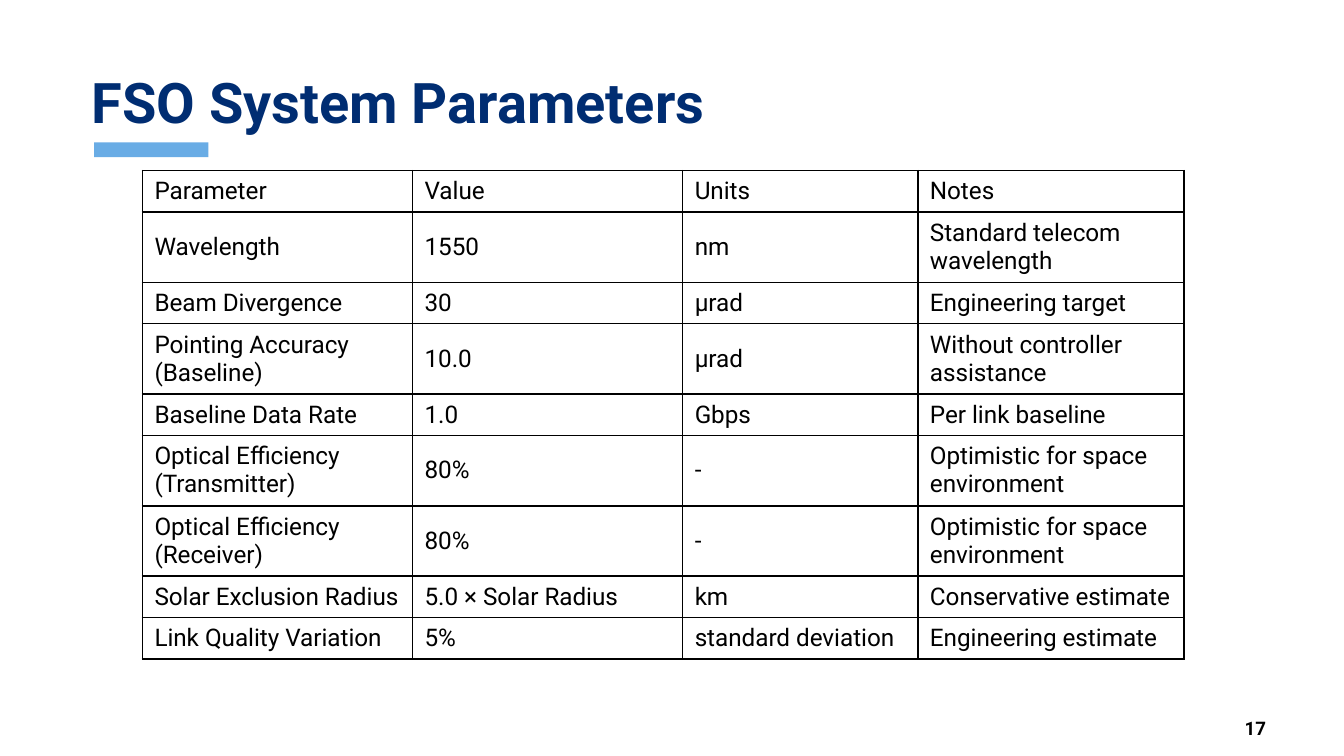
from lxml import etree
from pptx import Presentation
from pptx.dml.color import RGBColor
from pptx.enum.shapes import MSO_SHAPE
from pptx.enum.text import MSO_ANCHOR, PP_ALIGN
from pptx.oxml.ns import qn
from pptx.util import Inches, Pt

RECTANGLE = MSO_SHAPE.RECTANGLE
MIDDLE, BOTTOM = MSO_ANCHOR.MIDDLE, MSO_ANCHOR.BOTTOM
LEFT, RIGHT = PP_ALIGN.LEFT, PP_ALIGN.RIGHT


def color(value):
    return RGBColor.from_string(value)


def write(text_frame, text, size, fill="000000", bold=False, align=LEFT, spacing=1.0):
    paragraph = text_frame.paragraphs[0]
    paragraph.alignment = align
    paragraph.line_spacing = spacing
    run = paragraph.add_run()
    run.text = text
    run.font.name = "Roboto"
    run.font.size = Pt(size)
    run.font.bold = bold
    run.font.color.rgb = color(fill)


presentation = Presentation()
presentation.slide_width = Inches(10)
presentation.slide_height = Inches(10) * 9 // 16
slide = presentation.slides.add_slide(presentation.slide_layouts[5])
slide.background.fill.solid()
slide.background.fill.fore_color.rgb = color("FFFFFF")

accent_bar = slide.shapes.add_shape(RECTANGLE, Inches(0.7), Inches(1.06), Inches(0.85), Inches(0.11))
accent_bar.shadow.inherit = False
accent_bar.fill.solid()
accent_bar.fill.fore_color.rgb = color("69ACE5")
accent_bar.line.fill.background()

page_number = slide.shapes.add_textbox(Inches(8.63), Inches(5.32), Inches(0.87), Inches(0.19))
page_number.text_frame.margin_top = page_number.text_frame.margin_bottom = 0
page_number.text_frame.margin_right = Inches(0.08)
page_number.text_frame.vertical_anchor = MIDDLE
page_number.text_frame.word_wrap = True
write(page_number.text_frame, "17", 10, bold=True, align=RIGHT)

title = slide.shapes.title
title.left, title.top = Inches(0.58), Inches(0.12)
title.width, title.height = Inches(8.92), Inches(0.94)
title.text_frame.vertical_anchor = BOTTOM
title.text_frame.word_wrap = True
write(title.text_frame, "FSO System Parameters", 30, fill="002D72", bold=True, spacing=0.9)

parameters = [
    ("Parameter", "Value", "Units", "Notes"),
    ("Wavelength", "1550", "nm", "Standard telecom wavelength"),
    ("Beam Divergence", "30", "µrad", "Engineering target"),
    ("Pointing Accuracy (Baseline)", "10.0", "µrad", "Without controller assistance"),
    ("Baseline Data Rate", "1.0", "Gbps", "Per link baseline"),
    ("Optical Efficiency (Transmitter)", "80%", "-", "Optimistic for space environment"),
    ("Optical Efficiency (Receiver)", "80%", "-", "Optimistic for space environment"),
    ("Solar Exclusion Radius", "5.0 × Solar Radius", "km", "Conservative estimate"),
    ("Link Quality Variation", "5%", "standard deviation", "Engineering estimate"),
]
column_widths = [2.01, 2.01, 1.75, 1.98]
two_line_rows = {1, 3, 5, 6}
side_margin = Inches(0.09)

table = slide.shapes.add_table(
    len(parameters), len(column_widths), Inches(1.06), Inches(1.27), Inches(7.75), Inches(3.66)
).table
table.first_row = False
table.horz_banding = False
for column, width in zip(table.columns, column_widths):
    column.width = Inches(width)

for row_index, values in enumerate(parameters):
    table.rows[row_index].height = Inches(0.51 if row_index in two_line_rows else 0.3)
    for column_index, value in enumerate(values):
        cell = table.cell(row_index, column_index)
        cell.vertical_anchor = MIDDLE
        cell.margin_left = cell.margin_right = side_margin
        cell.margin_top = cell.margin_bottom = side_margin // 2
        write(cell.text_frame, value, 13)
        properties = cell._tc.get_or_add_tcPr()
        for side in ("a:lnL", "a:lnR", "a:lnT", "a:lnB"):
            border = etree.SubElement(properties, qn(side), w=str(Pt(1)))
            border_fill = etree.SubElement(border, qn("a:solidFill"))
            etree.SubElement(border_fill, qn("a:srgbClr"), val="000000")
        cell.fill.background()

presentation.save("out.pptx")
